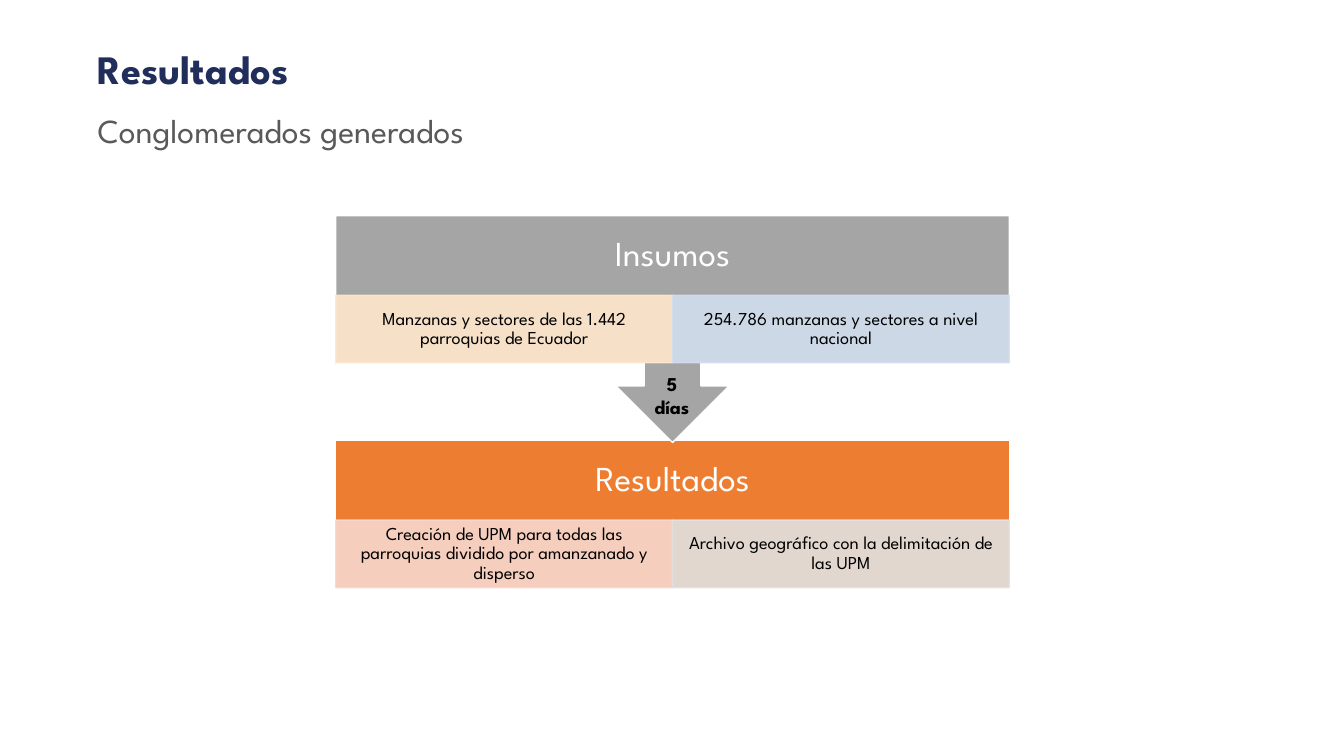
from lxml.etree import SubElement
from pptx import Presentation
from pptx.dml.color import RGBColor
from pptx.enum.shapes import MSO_SHAPE as Shape
from pptx.enum.text import MSO_ANCHOR as Anchor, MSO_AUTO_SIZE as Fit, PP_ALIGN as Align
from pptx.oxml.ns import qn
from pptx.util import Inches, Pt

FONT = "League Spartan"
NAVY = RGBColor(0x21, 0x2D, 0x5A)
SLATE = RGBColor(0x59, 0x59, 0x59)
WHITE = RGBColor(0xFF, 0xFF, 0xFF)
BLACK = RGBColor(0x00, 0x00, 0x00)
GRAY = RGBColor(0xA5, 0xA5, 0xA5)
ORANGE = RGBColor(0xED, 0x7D, 0x31)
CREAM = RGBColor(0xFF, 0xE8, 0xCC)
BLUE = RGBColor(0xD2, 0xDE, 0xEF)
PINK = RGBColor(0xF8, 0xD7, 0xCE)
PALE = RGBColor(0xE1, 0xE1, 0xE1)

LEFT, WIDTH = 3.33, 6.68
HEAD, CELL = 0.79, 0.67


def write(frame, text, size=13, color=BLACK, bold=False, align=Align.CENTER,
          anchor=Anchor.MIDDLE, inset=(0.1, 0.05), wrap=True, leading=0.9):
    frame.word_wrap = wrap
    frame.vertical_anchor = anchor
    frame.margin_left = frame.margin_right = Inches(inset[0])
    frame.margin_top = frame.margin_bottom = Inches(inset[1])
    frame.text = text
    for para in frame.paragraphs:
        para.alignment = align
        para.line_spacing = leading
        font = para.font
        font.name, font.size, font.bold = FONT, Pt(size), bold
        font.color.rgb = color


def fade(fill, percent):
    """Set the opacity of a solid fill's colour element."""
    color = fill.find(".//" + qn("a:srgbClr"))
    SubElement(color, qn("a:alpha"), val=str(percent * 1000))


class Deck:
    def __init__(self):
        self.prs = Presentation()
        self.prs.slide_width, self.prs.slide_height = Inches(13.33), Inches(7.5)
        self.slide = self.prs.slides.add_slide(self.prs.slide_layouts[6])

    def text(self, text, x, y, w, h, **style):
        box = self.slide.shapes.add_textbox(*map(Inches, (x, y, w, h)))
        write(box.text_frame, text, **style)
        return box

    def block(self, kind, x, y, w, h, fill, line=WHITE):
        shape = self.slide.shapes.add_shape(kind, *map(Inches, (x, y, w, h)))
        shape.shadow.inherit = False
        shape.fill.solid()
        shape.fill.fore_color.rgb = fill
        shape.line.color.rgb = line
        shape.line.width = Pt(1)
        return shape

    def cell(self, text, x, y, w, fill):
        shape = self.block(Shape.RECTANGLE, x, y, w, CELL, fill, line=fill)
        props = shape.element.spPr
        fade(props.find(qn("a:solidFill")), 90)
        fade(props.find(qn("a:ln")), 90)
        write(shape.text_frame, text, inset=(0.1, 0.02))

    def stage(self, title, y, h, kind, fill, cells):
        self.block(kind, LEFT, y, WIDTH, h, fill).rotation = (
            180 if kind == Shape.UP_ARROW_CALLOUT else 0)
        self.text(title, LEFT, y, WIDTH, HEAD, size=25, color=WHITE, inset=(0.19, 0.19))
        wide = WIDTH / len(cells)
        for i, (text, tint) in enumerate(cells):
            self.cell(text, LEFT + i * wide, y + HEAD, wide, tint)


def main():
    deck = Deck()

    # Headings
    deck.text("Resultados", 0.87, 0.42, 7.9, 0.58, size=28.8, color=NAVY,
              bold=True, align=Align.LEFT)
    deck.text("Conglomerados generados", 0.87, 1.04, 7.9, 0.55, size=24,
              color=SLATE, align=Align.LEFT)

    # Process, from results at the back to inputs in front
    deck.stage("Resultados", 4.37, 1.46, Shape.RECTANGLE, ORANGE, [
        ("Creación de UPM para todas las parroquias dividido por amanzanado y disperso", PINK),
        ("Archivo geográfico con la delimitación de las UPM", PALE)])
    deck.stage("Insumos", 2.14, 2.25, Shape.UP_ARROW_CALLOUT, GRAY, [
        ("Manzanas y sectores de las 1.442 parroquias de Ecuador", CREAM),
        ("254.786 manzanas y sectores a nivel nacional", BLUE)])

    # Duration on the arrow
    days = deck.text("5\ndías", 6.37, 3.64, 0.59, 0.57, size=14, bold=True,
                     anchor=Anchor.TOP, wrap=False, leading=1.0)
    days.text_frame.auto_size = Fit.SHAPE_TO_FIT_TEXT

    deck.prs.save("out.pptx")


if __name__ == "__main__":
    main()
